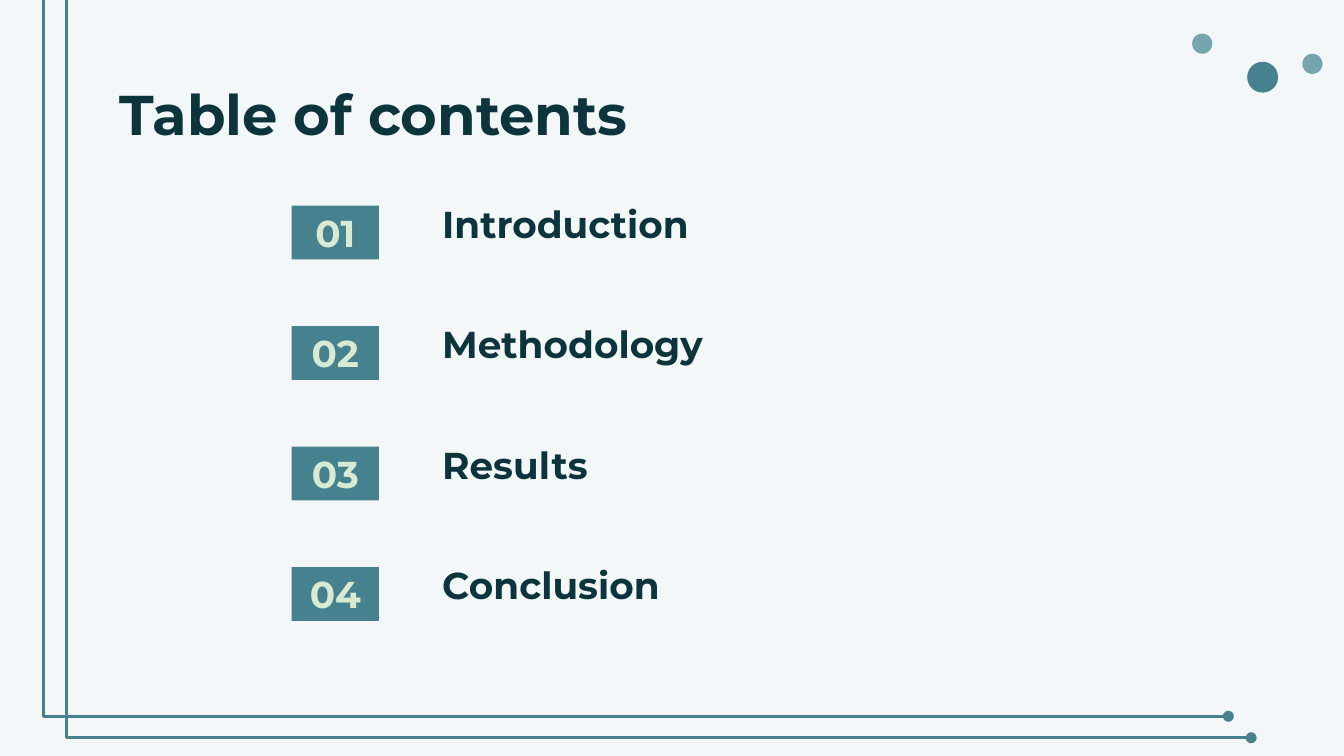
import pptx
import pptx.dml.color
import pptx.enum.shapes
import pptx.enum.text
import pptx.oxml
import pptx.oxml.ns
import pptx.util

Inches = pptx.util.Inches
ALIGN = pptx.enum.text.PP_ALIGN
ANCHOR = pptx.enum.text.MSO_ANCHOR
TEAL, PALE_TEAL, DARK, MINT = "45818E", "76A5AF", "0C343D", "D9EAD3"
SECTIONS = ["Introduction", "Methodology", "Results", "Conclusion"]
FIRST_TOP, LAST_TOP = 1.53, 4.22


def rgb(value):
    return pptx.dml.color.RGBColor.from_string(value)


def set_attrs(obj, values):
    for name, value in values.items():
        setattr(obj, name, value)


def xml(tag, attrs=""):
    return pptx.oxml.parse_xml(f"<a:{tag} {pptx.oxml.ns.nsdecls('a')} {attrs}/>")


def place(sp, left, top, width, height):
    set_attrs(sp, {"left": Inches(left), "top": Inches(top),
                   "width": Inches(width), "height": Inches(height)})


def write(sp, text, size, color, align, anchor, line_spacing=1.0):
    tf = sp.text_frame
    set_attrs(tf, {"word_wrap": True, "vertical_anchor": anchor,
                   "auto_size": pptx.enum.text.MSO_AUTO_SIZE.NONE})
    set_attrs(tf, {f"margin_{side}": Inches(0.1)
                   for side in ("left", "right", "top", "bottom")})
    p = tf.paragraphs[0]
    set_attrs(p, {"alignment": align, "line_spacing": line_spacing,
                  "space_before": pptx.util.Pt(0)})
    r = p.add_run()
    r.text = text
    set_attrs(r.font, {"name": "Montserrat", "size": pptx.util.Pt(size), "bold": True})
    r.font.color.rgb = rgb(color)
    return p


def add_filled(s, kind, left, top, width, height, color):
    sp = s.shapes.add_shape(kind, Inches(left), Inches(top), Inches(width), Inches(height))
    sp.shadow.inherit = False
    sp.fill.solid()
    sp.fill.fore_color.rgb = rgb(color)
    sp.line.fill.background()
    return sp


def add_dot(s, left, top, size, color):
    add_filled(s, pptx.enum.shapes.MSO_SHAPE.OVAL, left, top, size, size, color)


def add_frame_line(s, x1, y1, x2, y2):
    line = s.shapes.add_connector(pptx.enum.shapes.MSO_CONNECTOR.ELBOW,
                                  Inches(x1), Inches(y1), Inches(x2), Inches(y2))
    line.line.color.rgb = rgb(TEAL)
    line.line.width = pptx.util.Pt(1.5)
    line.line._get_or_add_ln().append(xml("tailEnd", 'type="oval"'))
    sp_pr = line._element.spPr
    sp_pr.append(xml("effectLst"))
    guides = sp_pr.prstGeom.get_or_add_avLst()
    guides.append(xml("gd", 'name="adj1" fmla="val -1000"'))


def add_badge(s, number, top):
    sp = add_filled(s, pptx.enum.shapes.MSO_SHAPE.RECTANGLE, 2.17, top, 0.65, 0.4, TEAL)
    write(sp, f"{number:02}", 20, MINT, ALIGN.CENTER, ANCHOR.MIDDLE)


def fill_section(sp, text, top):
    place(sp, 3.19, top, 4.64, 0.4)
    p = write(sp, text, 20, DARK, ALIGN.LEFT, ANCHOR.BOTTOM, 1.15)
    p_pr = p._p.get_or_add_pPr()
    p_pr.set("marL", "0")
    p_pr.set("indent", "0")
    p_pr.append(xml("buNone"))


def main():
    prs = pptx.Presentation()
    prs.slide_width = Inches(10)
    prs.slide_height = prs.slide_width * 9 // 16
    s = prs.slides.add_slide(prs.slide_layouts.get_by_name("Comparison"))
    s.background.fill.solid()
    s.background.fill.fore_color.rgb = rgb("F3F7F8")

    add_dot(s, 9.28, 0.46, 0.23, TEAL)
    add_dot(s, 8.87, 0.25, 0.15, PALE_TEAL)
    add_dot(s, 9.69, 0.4, 0.15, PALE_TEAL)
    add_frame_line(s, 0.41, -0.24, 9.14, 5.33)
    add_frame_line(s, 0.58, -0.07, 9.31, 5.49)

    title, *bodies = list(s.placeholders)
    place(title, 0.79, 0.49, 8.43, 0.63)
    write(title, "Table of contents", 30, DARK, ALIGN.LEFT, ANCHOR.TOP)

    pitch = (LAST_TOP - FIRST_TOP) / (len(SECTIONS) - 1)
    for i, (sp, text) in enumerate(zip(bodies, SECTIONS)):
        top = FIRST_TOP + i * pitch
        fill_section(sp, text, top)
        add_badge(s, i + 1, top)

    prs.save("out.pptx")


if __name__ == "__main__":
    main()
